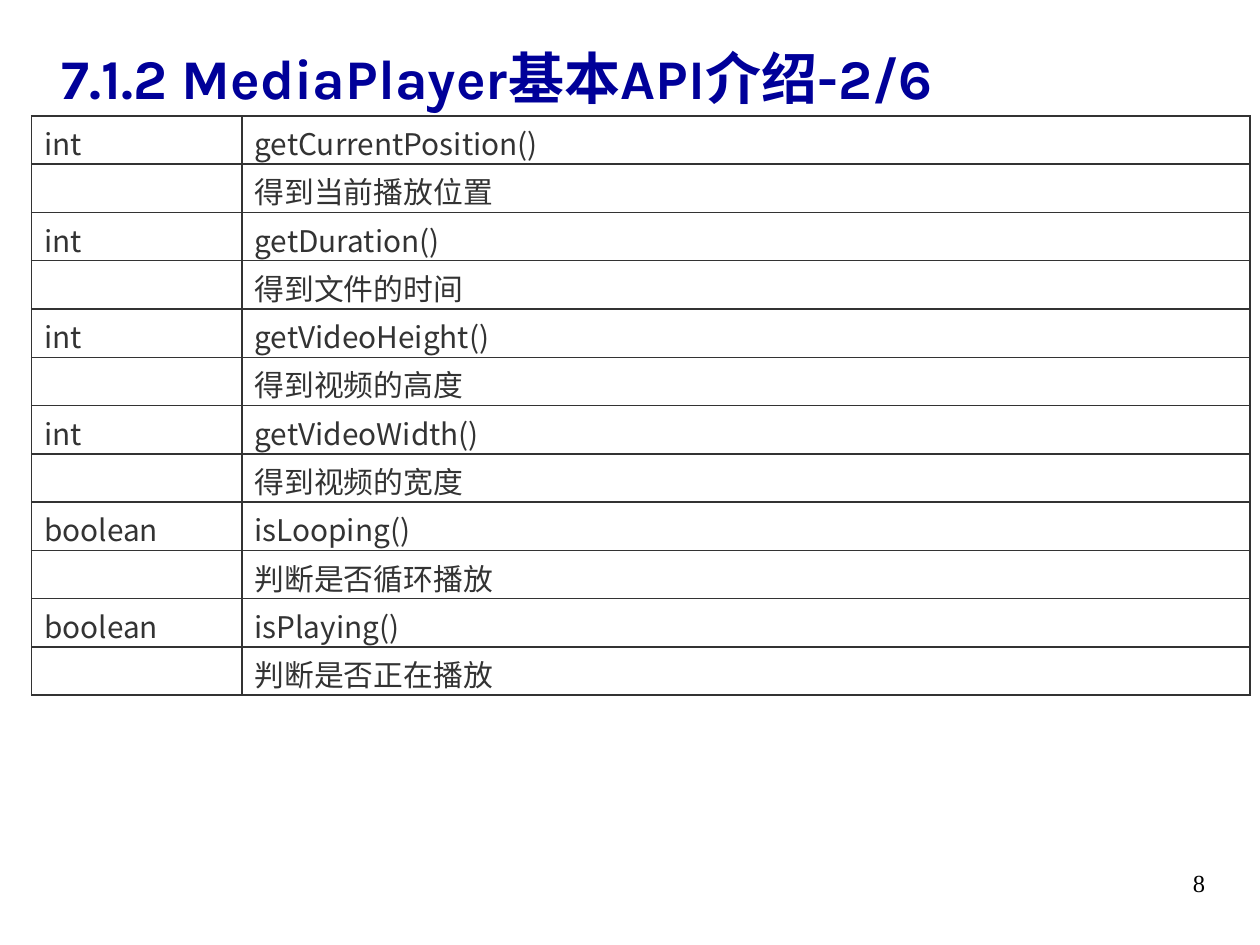
from lxml.etree import SubElement
from pptx import Presentation
from pptx.dml.color import RGBColor
from pptx.enum.text import MSO_ANCHOR as Anchor
from pptx.oxml.ns import qn
from pptx.util import Inches, Pt

NAVY = RGBColor(0x00, 0x00, 0x99)
GREY = RGBColor(0x33, 0x33, 0x33)
BLACK = RGBColor(0x00, 0x00, 0x00)
WHITE = RGBColor(0xFF, 0xFF, 0xFF)

METHODS = [
    ("int", "getCurrentPosition()", "得到当前播放位置"),
    ("int", "getDuration()", "得到文件的时间"),
    ("int", "getVideoHeight()", "得到视频的高度"),
    ("int", "getVideoWidth()", "得到视频的宽度"),
    ("boolean", "isLooping()", "判断是否循环播放"),
    ("boolean", "isPlaying()", "判断是否正在播放"),
]
COLUMN_WIDTHS = (1.67, 8)
TABLE_HEIGHT = 4.6


def write_text(frame, text, *, size, font, color, bold=False):
    span = frame.paragraphs[0].add_run()
    span.text = text
    span.font.size = Pt(size)
    span.font.name = font
    span.font.bold = bold
    span.font.color.rgb = color
    # East Asian characters take the same typeface
    SubElement(span.font._element, qn("a:ea"), typeface=font)


def add_text(page, text, left, top, width, height, **text_format):
    box = page.shapes.add_textbox(
        Inches(left), Inches(top), Inches(width), Inches(height))
    frame = box.text_frame
    frame.word_wrap = True
    frame.vertical_anchor = Anchor.MIDDLE
    write_text(frame, text, **text_format)


def add_borders(cell, color, width):
    properties = cell._tc.get_or_add_tcPr()
    for position, side in enumerate(("lnL", "lnR", "lnT", "lnB")):
        line = properties.makeelement(qn(f"a:{side}"), {"w": str(Pt(width))})
        fill = SubElement(line, qn("a:solidFill"))
        SubElement(fill, qn("a:srgbClr"), val=str(color))
        properties.insert(position, line)


def fill_cell(cell, text):
    cell.fill.solid()
    cell.fill.fore_color.rgb = WHITE
    add_borders(cell, GREY, 1)
    cell.vertical_anchor = Anchor.MIDDLE
    # Tight margins keep the tall line inside its row
    cell.margin_top, cell.margin_bottom = Inches(0.04), 0
    if text:
        write_text(cell.text_frame, text, size=17,
                   font="Noto Sans CJK SC", color=GREY)


def add_method_table(page, left, top):
    """Two rows per method: its signature, then what it does."""
    rows = []
    for return_type, method, meaning in METHODS:
        rows += [(return_type, method), ("", meaning)]
    table = page.shapes.add_table(
        len(rows), len(COLUMN_WIDTHS), Inches(left), Inches(top),
        Inches(sum(COLUMN_WIDTHS)), Inches(TABLE_HEIGHT)).table
    for column, width in zip(table.columns, COLUMN_WIDTHS):
        column.width = Inches(width)
    for row, texts in zip(table.rows, rows):
        for cell, text in zip(row.cells, texts):
            fill_cell(cell, text)


def main():
    deck = Presentation()
    deck.slide_width, deck.slide_height = Inches(10), Inches(7.5)
    page = deck.slides.add_slide(deck.slide_layouts[6])
    add_text(page, "8", 9.37, 6.84, 0.63, 0.33,
             size=14, font="Times New Roman", color=BLACK)
    add_method_table(page, 0.25, 0.92)
    add_text(page, "7.1.2 MediaPlayer基本API介绍-2/6", 0.39, 0.23, 7.97, 0.77,
             size=32, font="Karla", color=NAVY, bold=True)
    deck.save("out.pptx")


if __name__ == "__main__":
    main()
